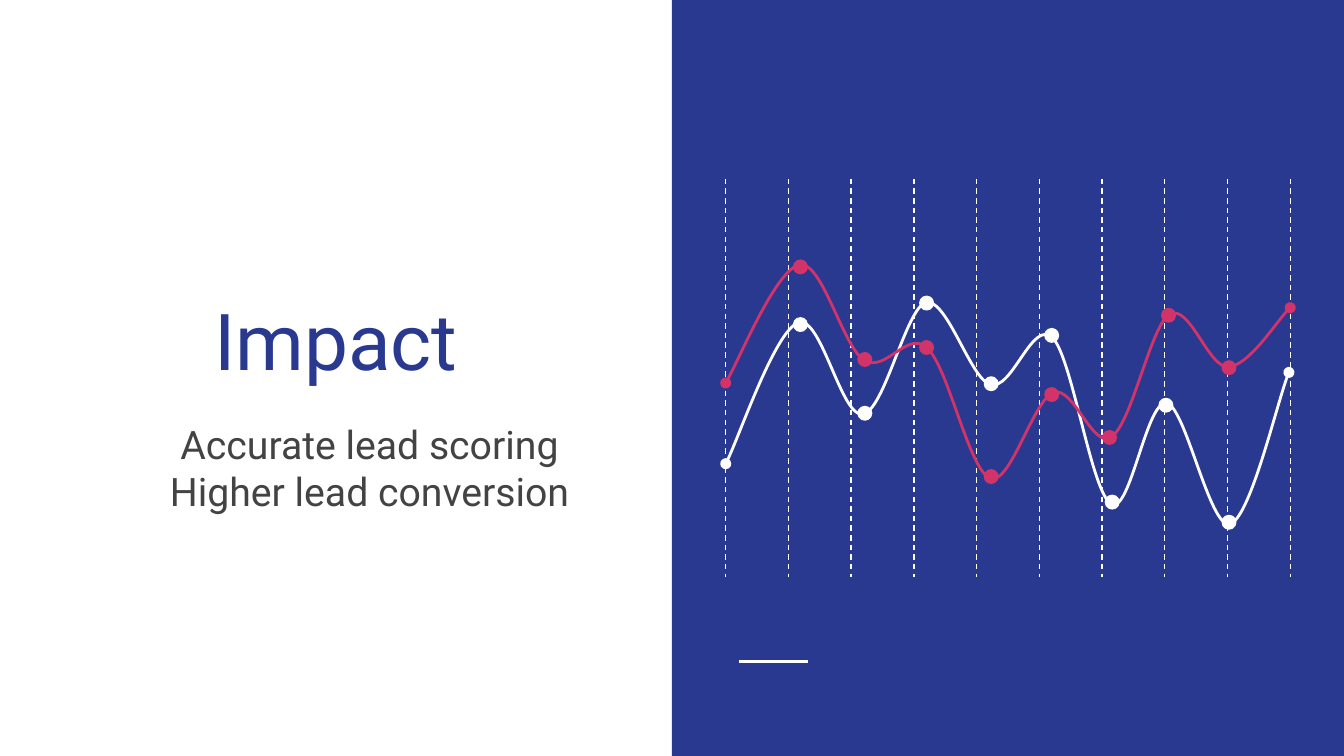
from lxml.etree import SubElement
from pptx import Presentation
from pptx.dml.color import RGBColor
from pptx.enum.dml import MSO_LINE
from pptx.enum.shapes import MSO_CONNECTOR, MSO_SHAPE
from pptx.enum.text import MSO_ANCHOR, PP_ALIGN
from pptx.oxml.ns import qn
from pptx.util import Pt

COLORS = {"blue": "2A3990", "white": "FFFFFF", "red": "D23369", "gray": "434343"}
FONT = "Roboto"
GRID_LINES = 10
DOT_SIZE = 6.5

# Curves in points from the chart's corner: a start, then three Bezier points per piece
WHITE_CURVE = [
    (0, 152.6),
    (6.5, 140.4), (26.6, 81.4), (38.9, 77),
    (51.1, 72.7), (61.9, 128.2), (73.4, 126),
    (85, 124.6), (96.5, 69.1), (107.3, 66.2),
    (118.8, 64.1), (131, 107.3), (141.8, 110.2),
    (153.4, 113.8), (164.2, 74.9), (175, 85),
    (185.8, 95.8), (195.8, 168.5), (206.6, 174.2),
    (216.7, 180), (225.4, 118.1), (236.2, 120.2),
    (246.2, 121.7), (259.2, 187.2), (270, 185),
    (280.8, 182.2), (295.9, 117.4), (301.7, 103.7),
]
RED_CURVE = [
    (0, 109.4),
    (6.5, 98.6), (27.4, 48.2), (39.6, 46.1),
    (51.8, 43.9), (62.6, 90), (74.2, 97.2),
    (85.7, 104.4), (97.2, 80.6), (108, 90.7),
    (119.5, 101.5), (130.3, 156.2), (141.8, 160.6),
    (152.6, 164.2), (164.9, 118.1), (175.7, 114.5),
    (186.5, 110.9), (196.6, 145.4), (206.6, 138.2),
    (217.4, 131.8), (227.5, 79.2), (237.6, 72.7),
    (248.4, 66.2), (258.5, 101.5), (269.3, 100.8),
    (280.1, 100.1), (296.6, 74.2), (302.4, 69.1),
]
WHITE_DOTS = [(40, 78.1), (74.5, 125.6), (107.6, 66.6), (142.2, 109.8),
              (174.6, 83.9), (207, 173.2), (235.8, 121.3), (269.6, 184)]
RED_DOTS = [(40, 47.2), (74.5, 96.8), (107.6, 90.4), (142.2, 159.5),
            (174.6, 115.6), (205.6, 138.6), (237.2, 73.1), (269.6, 101.2)]


def color(name):
    return RGBColor.from_string(COLORS[name])


def set_line(shape, name, width):
    shape.line.color.rgb = color(name)
    shape.line.width = Pt(width)


def add_line(shapes, start, end, width):
    line = shapes.add_connector(MSO_CONNECTOR.STRAIGHT, *map(Pt, start + end))
    set_line(line, "white", width)
    SubElement(line.element.spPr, qn("a:effectLst"))
    return line


def add_filled(shapes, kind, bounds, name):
    shape = shapes.add_shape(kind, *map(Pt, bounds))
    shape.shadow.inherit = False
    shape.fill.solid()
    shape.fill.fore_color.rgb = color(name)
    return shape


def add_text(page, bounds, lines, size, name, anchor, indent=0):
    box = page.shapes.add_textbox(*map(Pt, bounds))
    frame = box.text_frame
    frame.word_wrap = True
    frame.vertical_anchor = anchor
    frame.margin_left = frame.margin_right = Pt(7.2)
    frame.margin_top = frame.margin_bottom = Pt(7.2)
    for index, text in enumerate(lines):
        para = frame.paragraphs[0] if index == 0 else frame.add_paragraph()
        para.alignment = PP_ALIGN.CENTER
        if indent:
            para._p.get_or_add_pPr().set("marL", str(Pt(indent)))
        span = para.add_run()
        span.text = text
        span.font.name = FONT
        span.font.size = Pt(size)
        span.font.color.rgb = color(name)


def add_curve(shapes, points, name):
    places = [(Pt(x), Pt(y)) for x, y in points]
    builder = shapes.build_freeform(*places[0])
    builder.add_line_segments(places[1:], close=False)
    curve = builder.convert_to_shape()
    curve.shadow.inherit = False
    curve.fill.background()
    set_line(curve, name, 1.5)
    # Turn each three straight segments into one Bezier piece
    outline = next(curve.element.iter(qn("a:path")))
    segments = outline.findall(qn("a:lnTo"))
    for first in range(0, len(segments), 3):
        piece = SubElement(outline, qn("a:cubicBezTo"))
        for segment in segments[first:first + 3]:
            piece.append(segment[0])
            outline.remove(segment)
    # Round markers at both ends
    stroke = curve.element.spPr.find(qn("a:ln"))
    for end in ("a:headEnd", "a:tailEnd"):
        SubElement(stroke, qn(end), type="oval", w="med", len="med")


def add_series(page, left, top, points, dots, name):
    shapes = page.shapes.add_group_shape().shapes
    add_curve(shapes, [(left + x, top + y) for x, y in points], name)
    for x, y in dots:
        bounds = (left + x - DOT_SIZE / 2, top + y - DOT_SIZE / 2, DOT_SIZE, DOT_SIZE)
        dot = add_filled(shapes, MSO_SHAPE.OVAL, bounds, name)
        set_line(dot, name, 1.5)


def add_graph(page, left, top, width, height):
    # Dashed grid
    shapes = page.shapes.add_group_shape().shapes
    for index in range(GRID_LINES):
        x = left + index * width / (GRID_LINES - 1)
        line = add_line(shapes, (x, top), (x, top + height), 0.75)
        line.line.dash_style = MSO_LINE.DASH
    # Two series
    add_series(page, left, top, WHITE_CURVE, WHITE_DOTS, "white")
    add_series(page, left, top, RED_CURVE, RED_DOTS, "red")


def add_blue_panel(page, left, top, width, height):
    panel = add_filled(page.shapes, MSO_SHAPE.RECTANGLE, (left, top, width, height), "blue")
    panel.line.fill.background()
    rule_y = top + 354.2
    add_line(page.shapes, (left + 36, rule_y), (left + 72.7, rule_y), 1.5)
    add_graph(page, left + 28.8, top + 95.8, 302.4, 213.1)


def add_message(page, left, top, width):
    add_text(page, (left, top, width, 123.1), ["Impact"], 42, "blue", MSO_ANCHOR.BOTTOM)
    add_text(page, (left, top + 127.4, width, 64.8),
             ["Accurate lead scoring", "Higher lead conversion"],
             21, "gray", MSO_ANCHOR.TOP, indent=36)


def main():
    deck = Presentation()
    deck.slide_width, deck.slide_height = Pt(720), Pt(405)
    page = deck.slides.add_slide(deck.slide_layouts[6])
    add_blue_panel(page, 360, 0, 360, 405)
    add_message(page, 20.9, 90.7, 318.2)
    deck.save("out.pptx")


if __name__ == "__main__":
    main()
